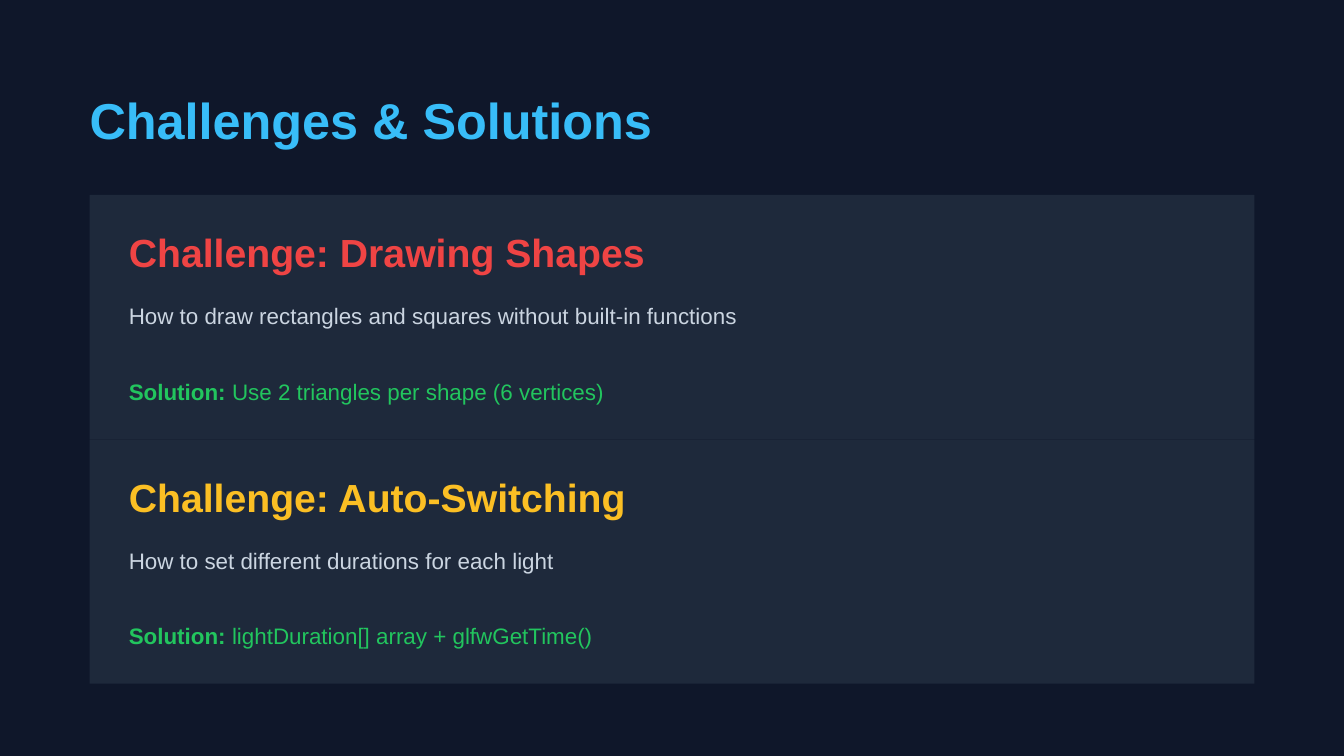
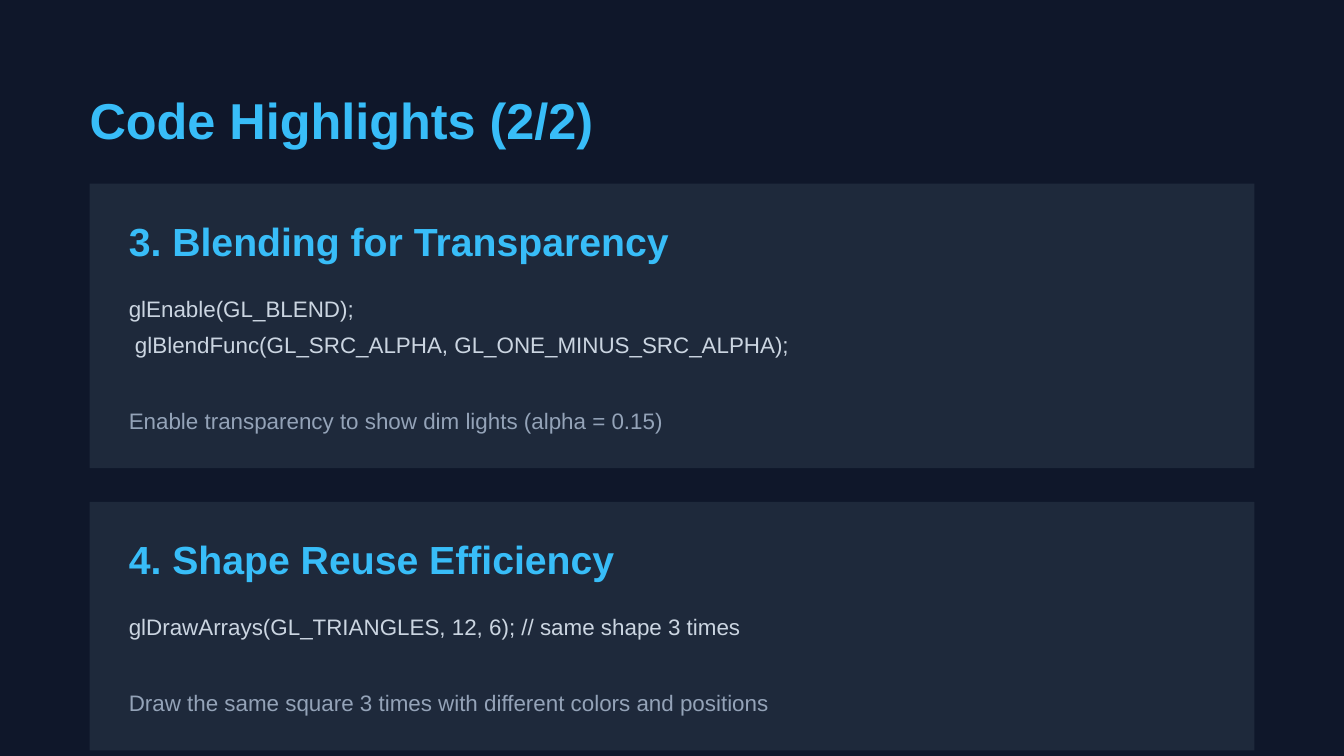
"""Builds two dark slides of headed cards on a grid of 960 columns by 540 rows."""
from dataclasses import dataclass

from pptx import Presentation
from pptx import util as u
from pptx.dml.color import RGBColor
from pptx.enum import shapes, text

WIDTH, HEIGHT = u.Pt(720), u.Pt(405)
COLS, ROWS = 960, 540
MARGIN, CARD_COLS = 64, 832
TEXT_LEFT, TEXT_COLS = 92, 796
TITLE_TOP, TITLE_COLS = 64, 848
HEADING_DROP, BODY_DROP, NOTE_RISE = 24, 73.5, 47

NAVY, SLATE, SKY = "0F172A", "1E293B", "38BDF8"
PALE, GREY, GREEN = "CBD5E1", "94A3B8", "22C55E"
RED, AMBER = "EF4444", "FBBF24"


@dataclass(frozen=True)
class Style:
    size: float
    leading: float
    bold: bool = False


TITLE = Style(27, 32.4, True)
HEADING = Style(21, 25.2, True)
PLAIN = Style(12, 16.8)
CODE = Style(12, 19.2)


@dataclass(frozen=True)
class Card:
    top: float
    rows: float
    heading: str
    accent: str
    body: tuple[str, ...]
    body_style: Style
    note: str
    note_color: str
    label: str = ""


@dataclass(frozen=True)
class Page:
    title: str
    cards: tuple[Card, ...]


PAGES = (
    Page("Challenges & Solutions", (
        Card(139.2, 174.6, "Challenge: Drawing Shapes", RED,
             ("How to draw rectangles and squares without built-in functions",), PLAIN,
             " Use 2 triangles per shape (6 vertices)", GREEN, "Solution:"),
        Card(313.8, 174.6, "Challenge: Auto-Switching", AMBER,
             ("How to set different durations for each light",), PLAIN,
             " lightDuration[] array + glfwGetTime()", GREEN, "Solution:"),
    )),
    Page("Code Highlights (2/2)", (
        Card(131.2, 203.2, "3. Blending for Transparency", SKY,
             ("glEnable(GL_BLEND);", " glBlendFunc(GL_SRC_ALPHA, GL_ONE_MINUS_SRC_ALPHA);"), CODE,
             "Enable transparency to show dim lights (alpha = 0.15)", GREY),
        Card(358.4, 177.6, "4. Shape Reuse Efficiency", SKY,
             ("glDrawArrays(GL_TRIANGLES, 12, 6); // same shape 3 times",), CODE,
             "Draw the same square 3 times with different colors and positions", GREY),
    )),
)


def x(cols: float) -> int:
    """Turn grid columns into a length."""
    return int(WIDTH * cols / COLS)


def y(rows: float) -> int:
    """Turn grid rows into a length."""
    return int(HEIGHT * rows / ROWS)


def paint(target, color: str) -> None:
    """Give a fill one solid colour."""
    target.solid()
    target.fore_color.rgb = RGBColor.from_string(color)


def set_all(target, values: dict) -> None:
    """Set each attribute named in the dict."""
    for name, value in values.items():
        setattr(target, name, value)


def write(sp, lines: tuple[str, ...], style: Style, color: str, label: str = "") -> None:
    """Fill a text shape with lines, the first after an optional bold label."""
    tf = sp.text_frame
    set_all(tf, dict(margin_left=0, margin_top=0, margin_right=0, margin_bottom=0,
                     word_wrap=True, auto_size=text.MSO_AUTO_SIZE.NONE,
                     vertical_anchor=text.MSO_ANCHOR.TOP))
    for i, line in enumerate(lines):
        p = tf.add_paragraph() if i else tf.paragraphs[0]
        set_all(p, dict(line_spacing=u.Pt(style.leading), alignment=text.PP_ALIGN.LEFT,
                        space_before=u.Pt(0), space_after=u.Pt(0)))
        parts = [(line, style.bold)]
        if label and not i:
            parts.insert(0, (label, True))
        for words, bold in parts:
            r = p.add_run()
            r.text = words
            set_all(r.font, dict(name="Arial", size=u.Pt(style.size), bold=bold))
            paint(r.font.fill, color)


def add_text(slide, top: float, lines: tuple[str, ...], style: Style, color: str,
             label: str = "") -> None:
    """Add a card text whose height follows its lines."""
    sp = slide.shapes.add_textbox(x(TEXT_LEFT), y(top), x(TEXT_COLS),
                                  u.Pt(style.leading * len(lines)))
    write(sp, lines, style, color, label)


def add_panel(slide, card: Card) -> None:
    """Draw the rectangle behind a card."""
    sp = slide.shapes.add_shape(shapes.MSO_SHAPE.RECTANGLE, x(MARGIN), y(card.top),
                                x(CARD_COLS), y(card.rows))
    sp.shadow.inherit = False
    paint(sp.fill, SLATE)
    sp.line.fill.background()


def add_card(slide, card: Card) -> None:
    """Draw a panel with its heading, body and closing note."""
    add_panel(slide, card)
    add_text(slide, card.top + HEADING_DROP, (card.heading,), HEADING, card.accent)
    add_text(slide, card.top + BODY_DROP, card.body, card.body_style, PALE)
    add_text(slide, card.top + card.rows - NOTE_RISE, (card.note,), PLAIN,
             card.note_color, card.label)


def add_page(prs, page: Page) -> None:
    """Add a slide with a title and its cards."""
    slide = prs.slides.add_slide(prs.slide_layouts.get_by_name("Title Only"))
    sp = slide.shapes.title
    set_all(sp, dict(left=x(MARGIN), top=y(TITLE_TOP), width=x(TITLE_COLS),
                     height=u.Pt(TITLE.leading)))
    write(sp, (page.title,), TITLE, SKY)
    for card in page.cards:
        add_card(slide, card)


def main() -> None:
    """Build and save the deck."""
    prs = Presentation()
    set_all(prs, dict(slide_width=WIDTH, slide_height=HEIGHT))
    paint(prs.slide_master.background.fill, NAVY)
    for page in PAGES:
        add_page(prs, page)
    prs.save("out.pptx")


if __name__ == "__main__":
    main()
